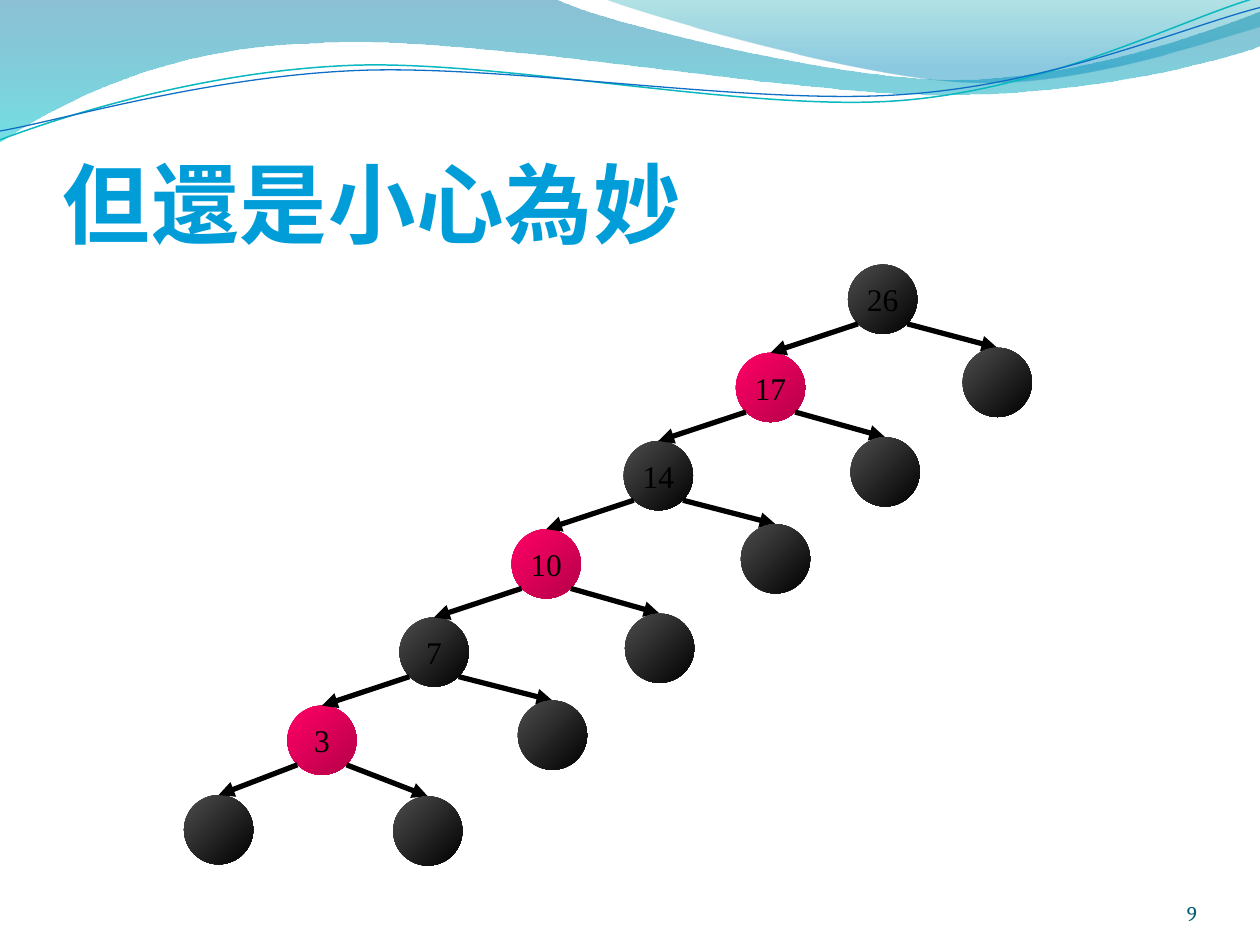
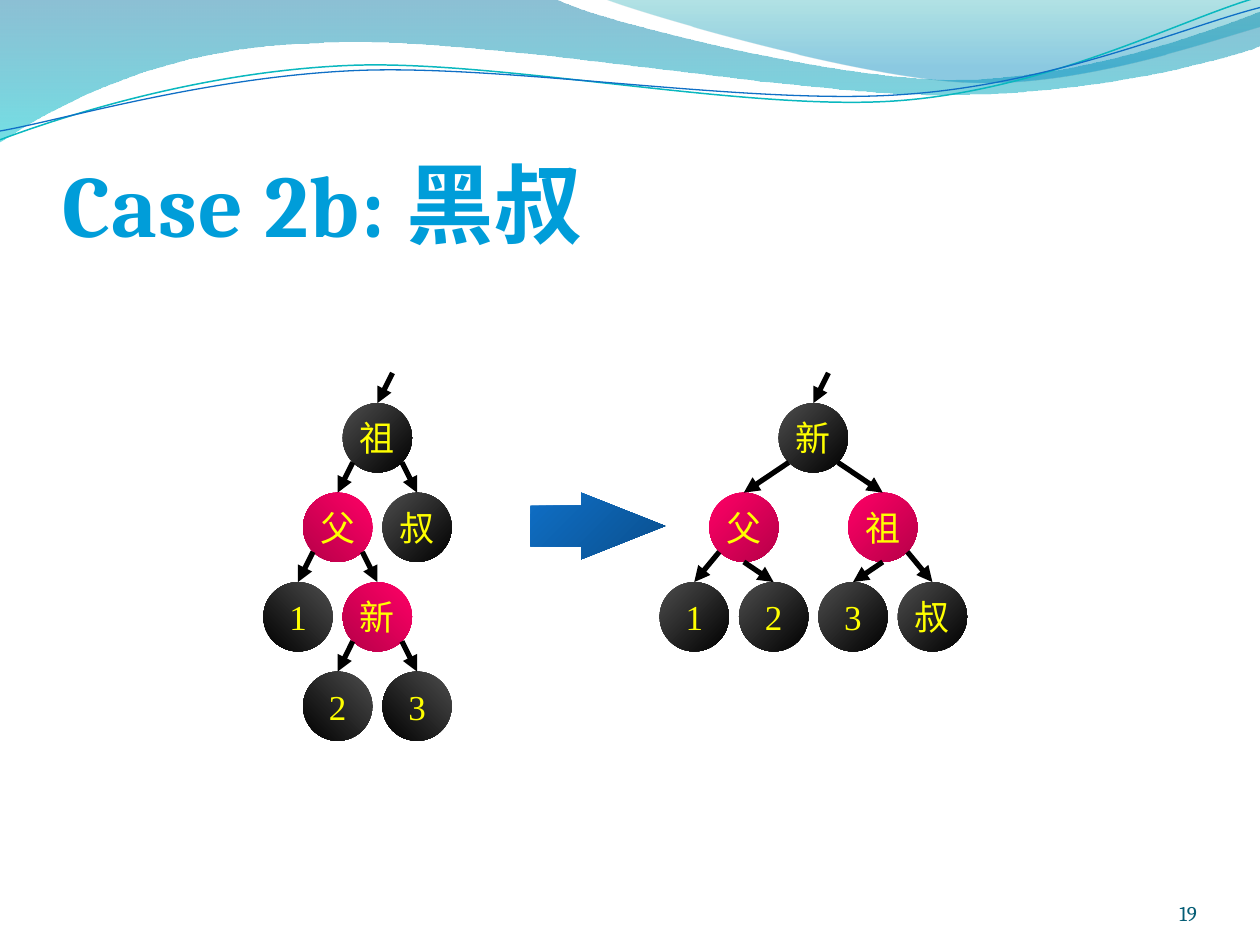
from lxml import etree
from pptx import Presentation
from pptx import util as u
from pptx.dml.color import RGBColor
from pptx.enum import shapes, text
from pptx.oxml import ns

W, H = 10, 7.5
BLACK = RGBColor(0x00, 0x00, 0x00)
GREY = RGBColor(0x4D, 0x4D, 0x4D)
RED = RGBColor(0xFF, 0x00, 0x66)
YELLOW = RGBColor(0xFF, 0xFF, 0x00)
TITLE = RGBColor(0x00, 0x9D, 0xD9)
TITLE_DARK = RGBColor(0x00, 0x6F, 0x99)
NUMBER = RGBColor(0x04, 0x5D, 0x75)
TEAL = RGBColor(0x0A, 0xB8, 0xBF)
BLUE = RGBColor(0x0F, 0x6F, 0xC6)
DARKER = {"shade": 46275}
NODE_BLACK = [(0, GREY, {}), (1, BLACK, {})]
NODE_RED = [(0, RED, {}), (1, RED, DARKER)]
ARROW_BLUE = [(0, BLUE, {}), (1, BLUE, DARKER)]
TITLE_FILL = [(0.25, TITLE, {}), (1, TITLE_DARK, {})]
WAVE_WIDE = [(0, RGBColor(0x00, 0x74, 0xA1), {"alpha": 45000}),
             (1, RGBColor(0x00, 0xC6, 0xCF), {"alpha": 55000})]
WAVE_RIGHT = [(0, RGBColor(0x00, 0xA1, 0xA9), {"alpha": 30000}),
              (0.8, RGBColor(0x00, 0x8B, 0xBF), {"alpha": 45000})]

HEAD_FONT, NODE_FONT = "Cambria", "Times New Roman"
D = 0.55
CORNER = D / 2 * 0.71

WAVES = [
    (WAVE_WIDE, [(0, 0), (4.4, -0.01),
                 (4.76, 0.17, 6.64, 0.63, 7.58, 0.63), (8.53, 0.63, 9.58, 0.26, 10, 0.09),
                 (10.01, 0.36),
                 (9.83, 0.44, 8.7, 0.76, 7.46, 0.75), (6.22, 0.75, 3.82, 0.28, 2.57, 0.34),
                 (1.29, 0.36, 0.46, 0.83, -0.01, 1.13)]),
    (WAVE_RIGHT, [(4.79, -0.01),
                  (5.09, 0.11, 6.82, 0.62, 7.69, 0.65), (8.56, 0.69, 9.61, 0.32, 10, 0.21),
                  (10, 0)]),
]
WAVE_LINES = [
    (TEAL, 0.85, [(0, 1.11), (0.48, 0.93, 1.58, 0.57, 2.77, 0.52),
                  (3.95, 0.47, 5.93, 0.89, 7.13, 0.8), (8.33, 0.71, 9.38, 0.15, 9.98, -0.02)]),
    (BLUE, 0.75, [(0, 1.04), (0.47, 0.96, 1.64, 0.61, 2.83, 0.56),
                  (4.03, 0.51, 5.97, 0.84, 7.17, 0.75), (8.36, 0.67, 9.41, 0.21, 10, 0.06)]),
]

SPINE_KEYS = ["26", "17", "14", "10", "7", "3"]
SPINE_ORIGIN, SPINE_STEP = (6.73, 2.1), (-0.89, 0.7)
LEAF_OFFSETS = [(0.91, 0.66), (0.91, 0.67), (0.93, 0.66), (0.9, 0.67), (0.94, 0.66), (0.84, 0.72)]
LAST_LEAF = (1.46, 6.31)

GRID_TOP, COL, ROW = 3.2, 0.315, 0.71
# label, column, row, colour, parent, side of parent, mirrored shading
BEFORE = (2.72, [
    ("祖", 0, 0, NODE_BLACK, None, 0, False),
    ("父", -1, 1, NODE_RED, 0, -1, True),
    ("叔", 1, 1, NODE_BLACK, 0, 1, False),
    ("1", -2, 2, NODE_BLACK, 1, -1, True),
    ("新", 0, 2, NODE_RED, 1, 1, True),
    ("2", -1, 3, NODE_BLACK, 4, -1, True),
    ("3", 1, 3, NODE_BLACK, 4, 1, True),
])
AFTER = (6.18, [
    ("新", 0, 0, NODE_BLACK, None, 0, False),
    ("父", -1.75, 1, NODE_RED, 0, -1, False),
    ("祖", 1.75, 1, NODE_RED, 0, 1, False),
    ("1", -3, 2, NODE_BLACK, 1, -1, False),
    ("2", -1, 2, NODE_BLACK, 1, 0, False),
    ("3", 1, 2, NODE_BLACK, 2, 0, False),
    ("叔", 3, 2, NODE_BLACK, 2, 1, False),
])


def inches(*values):
    return [u.Inches(v) for v in values]


def set_gradient(fill, element, stops, angle):
    fill.gradient()
    fill.gradient_angle = 360 - angle
    for stop, (position, color, _) in zip(fill.gradient_stops, stops):
        stop.position = position
        stop.color.rgb = color
    for clr, (_, _, changes) in zip(element.iter(ns.qn("a:srgbClr")), stops):
        for name, value in changes.items():
            etree.SubElement(clr, ns.qn("a:" + name)).set("val", str(value))


def put_text(sp, content, size, color, font, bold=False, spacing=0, align=text.PP_ALIGN.LEFT,
             anchor=text.MSO_ANCHOR.BOTTOM, margins=(0, 0, 0, 0), wrap=True):
    tf = sp.text_frame
    tf.word_wrap = wrap
    tf.vertical_anchor = anchor
    tf.margin_left, tf.margin_top, tf.margin_right, tf.margin_bottom = inches(*margins)
    p = tf.paragraphs[0]
    p.alignment = align
    r = p.add_run()
    r.text = content
    r.font.size, r.font.bold, r.font.name = u.Pt(size), bold, font
    if isinstance(color, list):
        set_gradient(r.font.fill, r._r, color, 90)
    else:
        r.font.color.rgb = color
    if spacing:
        r._r.get_or_add_rPr().set("spc", str(round(spacing * 100)))


def shade(sp, stops, angle):
    sp.shadow.inherit = False
    sp.line.fill.background()
    set_gradient(sp.fill, sp._element.spPr, stops, angle)


def add_curve(s, segments, closed):
    ends = [inches(*segment[-2:]) for segment in segments]
    builder = s.shapes.build_freeform(*ends[0], scale=1.0)
    builder.add_line_segments(ends[1:], close=closed)
    sp = builder.convert_to_shape()
    lines = list(sp._element.iter(ns.qn("a:lnTo")))
    for line, segment in zip(lines, segments[1:]):
        if len(segment) == 2:
            continue
        line.tag = ns.qn("a:cubicBezTo")
        for i in (0, 1):
            x, y = inches(*segment[2 * i:2 * i + 2])
            pt = etree.Element(ns.qn("a:pt"), x=str(x - sp.left), y=str(y - sp.top))
            line.insert(i, pt)
    return sp


def new_slide(prs, title, number):
    s = prs.slides.add_slide(prs.slide_layouts[6])
    for stops, segments in WAVES:
        shade(add_curve(s, segments, True), stops, 90)
    for color, width, segments in WAVE_LINES:
        sp = add_curve(s, segments, False)
        sp.shadow.inherit = False
        sp.fill.background()
        sp.line.color.rgb, sp.line.width = color, u.Pt(width)
    sp = s.shapes.add_textbox(*inches(W * 0.95 - 0.83, 6.95, 0.83, 0.4))
    put_text(sp, number, 12, NUMBER, HEAD_FONT, align=text.PP_ALIGN.RIGHT)
    sp = s.shapes.add_textbox(*inches(W * 0.05, 0.77, W * 0.9, 1.25))
    put_text(sp, title, 50, TITLE_FILL, HEAD_FONT, bold=True, spacing=0.5,
             margins=(0, 0.05, 0, 0))
    return s


def add_node(s, label, left, top, stops, size, color, mirrored=False):
    sp = s.shapes.add_shape(shapes.MSO_SHAPE.OVAL, *inches(left, top, D, D))
    shade(sp, stops, 135 if mirrored else 45)
    if label:
        put_text(sp, label, size, color, NODE_FONT, align=text.PP_ALIGN.CENTER,
                 anchor=text.MSO_ANCHOR.MIDDLE, margins=(0.1, 0.05, 0.1, 0.05), wrap=False)


def add_arrow(s, start, end):
    cx = s.shapes.add_connector(shapes.MSO_CONNECTOR.STRAIGHT, *inches(*start, *end))
    cx.line.color.rgb, cx.line.width = BLACK, u.Pt(3)
    etree.SubElement(cx.line._get_or_add_ln(), ns.qn("a:tailEnd")).set("type", "triangle")
    etree.SubElement(cx._element.spPr, ns.qn("a:effectLst"))


def link(s, parent, child, side):
    drop = D / 2 + CORNER if side else D
    add_arrow(s, (parent[0] + D / 2 + side * CORNER, parent[1] + drop),
              (child[0] + D / 2, child[1]))


def add_spine(s):
    spots = [tuple(o + i * step for o, step in zip(SPINE_ORIGIN, SPINE_STEP))
             for i in range(len(SPINE_KEYS))] + [LAST_LEAF]
    for i, key in enumerate(SPINE_KEYS + [""]):
        add_node(s, key, *spots[i], NODE_RED if i % 2 and key else NODE_BLACK, 18, BLACK)
        if i:
            link(s, spots[i - 1], spots[i], -1)
    for spot, offset in zip(spots, LEAF_OFFSETS):
        leaf = (spot[0] + offset[0], spot[1] + offset[1])
        link(s, spot, leaf, 1)
        add_node(s, "", *leaf, NODE_BLACK, 18, BLACK)


def add_tree(s, root_left, nodes):
    spots = [(root_left + col * COL, GRID_TOP + row * ROW) for _, col, row, *_ in nodes]
    root = (root_left + D / 2, GRID_TOP)
    add_arrow(s, (root[0] + 0.12, root[1] - 0.24), root)
    for spot, (label, _, _, stops, parent, side, mirrored) in zip(spots, nodes):
        add_node(s, label, *spot, stops, 20, YELLOW, mirrored)
        if parent is not None:
            link(s, spots[parent], spot, side)


def main():
    prs = Presentation()
    prs.slide_width, prs.slide_height = inches(W, H)

    add_spine(new_slide(prs, "但還是小心為妙", "9"))

    s = new_slide(prs, "Case 2b: 黑叔", "19")
    add_tree(s, *BEFORE)
    add_tree(s, *AFTER)
    sp = s.shapes.add_shape(shapes.MSO_SHAPE.RIGHT_ARROW, *inches(4.21, 3.91, 1.07, 0.53))
    sp.adjustments[0], sp.adjustments[1] = 0.61, 1.26
    shade(sp, ARROW_BLUE, 45)

    prs.save("out.pptx")


if __name__ == "__main__":
    main()
